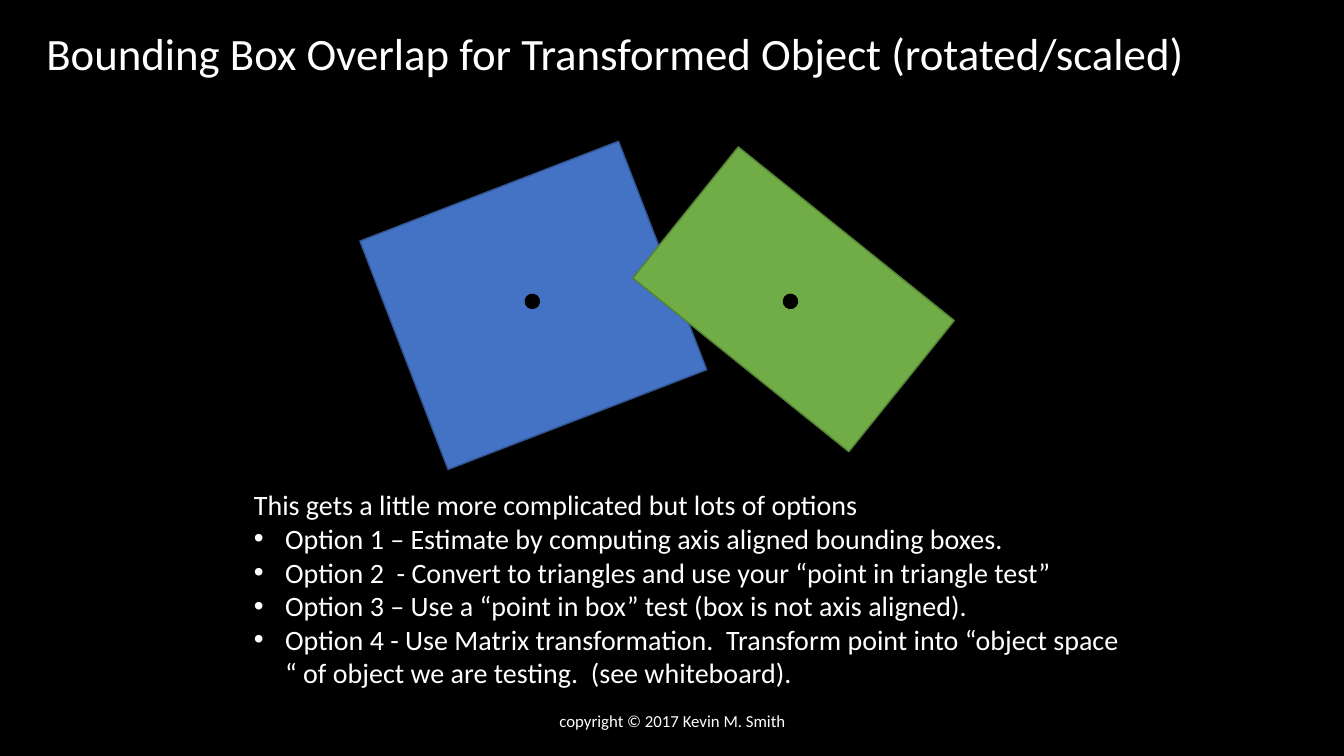
from lxml import etree
from pptx import Presentation
from pptx.dml.color import RGBColor
from pptx.enum.shapes import MSO_SHAPE as Shape
from pptx.enum.text import MSO_ANCHOR as Anchor, MSO_AUTO_SIZE as AutoSize, PP_ALIGN as Align
from pptx.oxml.ns import qn
from pptx.util import Inches, Pt

BLACK = RGBColor(0x00, 0x00, 0x00)
WHITE = RGBColor(0xFF, 0xFF, 0xFF)
BLUE = RGBColor(0x44, 0x72, 0xC4)
DARK_BLUE = RGBColor(0x32, 0x54, 0x91)
GREEN = RGBColor(0x70, 0xAD, 0x47)
DARK_GREEN = RGBColor(0x53, 0x80, 0x35)

FONT = "Calibri"
DOT_SIZE = 0.14
BULLET_INDENT = Inches(0.31)

TITLE = "Bounding Box Overlap for Transformed Object (rotated/scaled)"
INTRO = "This gets a little more complicated but lots of options"
OPTIONS = [
    "Option 1 – Estimate by computing axis aligned bounding boxes.",
    "Option 2  - Convert to triangles and use your “point in triangle test”",
    "Option 3 – Use a “point in box” test (box is not axis aligned).",
    "Option 4 - Use Matrix transformation.  Transform point into “object space “"
    " of object we are testing.  (see whiteboard).",
]
COPYRIGHT = "copyright © 2017 Kevin M. Smith"


def write(para, text, size, align=Align.LEFT):
    para.alignment = align
    span = para.add_run()
    span.text = text
    span.font.name = FONT
    span.font.size = Pt(size)
    span.font.color.rgb = WHITE


def add_bullet(para):
    properties = para._p.get_or_add_pPr()
    properties.set("marL", str(BULLET_INDENT))
    properties.set("indent", str(-BULLET_INDENT))
    etree.SubElement(properties, qn("a:buFont")).set("typeface", "Arial")
    etree.SubElement(properties, qn("a:buChar")).set("char", "•")


def set_frame(box, anchor, wrap=True):
    frame = box.text_frame
    frame.auto_size = AutoSize.NONE
    frame.word_wrap = wrap
    frame.vertical_anchor = anchor
    return frame


def add_title(page):
    title = page.shapes.title
    title.left, title.top = Inches(0.36), Inches(0.2)
    title.width, title.height = Inches(11.6), Inches(0.64)
    frame = set_frame(title, Anchor.TOP, wrap=False)
    write(frame.paragraphs[0], TITLE, 32)


def add_options(page):
    box = page.shapes.add_textbox(Inches(2.42), Inches(4.79), Inches(8.83), Inches(2.12))
    frame = set_frame(box, Anchor.TOP)
    write(frame.paragraphs[0], INTRO, 20)
    for option in OPTIONS:
        para = frame.add_paragraph()
        add_bullet(para)
        write(para, option, 20)


def add_copyright(page):
    box = page.shapes.add_textbox(Inches(4.42), Inches(6.95), Inches(4.5), Inches(0.4))
    frame = set_frame(box, Anchor.MIDDLE)
    write(frame.paragraphs[0], COPYRIGHT, 12, Align.CENTER)


def add_centred(group, kind, centre, size, angle, fill, line):
    (x, y), (width, height) = centre, size
    shape = group.shapes.add_shape(
        kind, Inches(x - width / 2), Inches(y - height / 2), Inches(width), Inches(height)
    )
    shape.rotation = angle
    shape.shadow.inherit = False
    shape.fill.solid()
    shape.fill.fore_color.rgb = fill
    shape.line.color.rgb = line
    shape.line.width = Pt(1)


def add_rotated_box(page, box_centre, dot_centre, size, angle, fill, line):
    group = page.shapes.add_group_shape()
    add_centred(group, Shape.RECTANGLE, box_centre, size, angle, fill, line)
    add_centred(group, Shape.OVAL, dot_centre, (DOT_SIZE, DOT_SIZE), angle, BLACK, BLACK)


def main():
    deck = Presentation()
    deck.slide_width, deck.slide_height = Inches(13.33), Inches(7.5)
    page = deck.slides.add_slide(deck.slide_layouts.get_by_name("Title Only"))
    page.background.fill.solid()
    page.background.fill.fore_color.rgb = BLACK

    add_title(page)
    add_copyright(page)
    add_rotated_box(page, (5.29, 3.03), (5.28, 2.99), (2.75, 2.43), 338.9, BLUE, DARK_BLUE)
    add_options(page)
    add_rotated_box(page, (7.87, 2.97), (7.84, 2.99), (2.75, 1.67), 38.8, GREEN, DARK_GREEN)

    deck.save("out.pptx")


if __name__ == "__main__":
    main()
